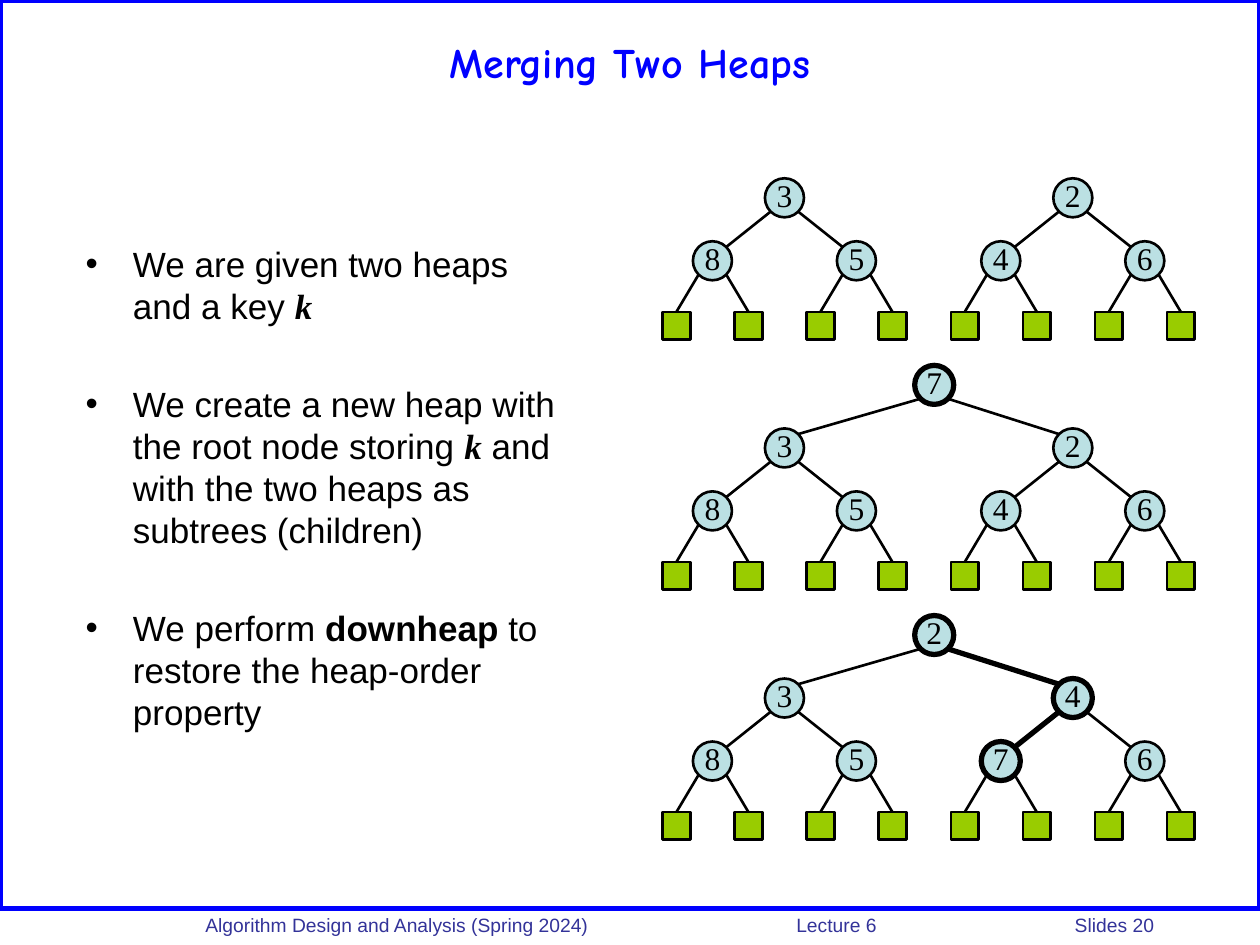
"""Build the slide on merging two heaps."""
from pptx import Presentation
from pptx.dml.color import RGBColor as Rgb
from pptx.enum.shapes import MSO_CONNECTOR as Con, MSO_SHAPE as Kind
from pptx.enum.text import MSO_ANCHOR as Anchor, MSO_AUTO_SIZE as Auto, PP_ALIGN as Align
from pptx.oxml.ns import qn
from pptx.util import Inches, Pt

BLUE = Rgb(0x00, 0x00, 0xFF)
NAVY = Rgb(0x33, 0x33, 0x99)
BLACK = Rgb(0x00, 0x00, 0x00)
TEAL = Rgb(0xBB, 0xE0, 0xE3)
GREEN = Rgb(0x99, 0xCC, 0x00)

SANS, SERIF, COMIC = "Arial", "Times New Roman", "Comic Neue"
WIDE, HIGH = Inches(10), Inches(7.5)
COL, ROW = WIDE / 35, HIGH / 15
NODE, LEAF, SIDE = Inches(0.31), Inches(0.22), Inches(0.11)
THIN, THICK = Pt(1.5), Pt(3)
COLS = [25.95, 21.79, 29.8, 19.79, 23.79, 27.8, 31.8]
RISE = [-1, 0, 0, 1, 1, 1, 1]
DROP = 2.03

LIST = [
    [("We are given two heaps and a key ", ""), ("k", "key")],
    [("We create a new heap with the root node storing ", ""), ("k", "key"),
     (" and with the two heaps as subtrees (children)", "")],
    [("We perform ", ""), ("downheap", "bold"),
     (" to restore the heap-order property", "")],
]
HEAPS = [
    (3.14, ["", "3", "2", "8", "5", "4", "6"], ()),
    (7.11, ["7", "3", "2", "8", "5", "4", "6"], (0,)),
    (11.08, ["2", "3", "4", "8", "5", "7", "6"], (0, 2, 5)),
]


class Deck:
    """Hold the style and the current slide."""

    def __init__(self):
        self.prs = Presentation()
        self.prs.slide_width, self.prs.slide_height = WIDE, HIGH
        self.slide = self.prs.slides.add_slide(self.prs.slide_layouts[1])
        self.shapes = self.slide.shapes

    def place(self, shape, left, top, wide, high):
        """Move a shape to shares of the slide's size."""
        shape.left, shape.top = int(left * WIDE), int(top * HIGH)
        shape.width, shape.height = int(wide * WIDE), int(high * HIGH)

    def say(self, para, text, size, face, color, bold=False, slant=False):
        """Add one run to a paragraph."""
        run = para.add_run()
        run.text = text
        font = run.font
        font.size, font.name, font.color.rgb = Pt(size), face, color
        font.bold, font.italic = bold, slant

    def title(self, text):
        """Fill the title placeholder."""
        shape = self.shapes.title
        self.place(shape, 0.05, 0, 0.9, 0.13)
        frame = shape.text_frame
        frame.vertical_anchor, frame.auto_size = Anchor.MIDDLE, Auto.NONE
        para = frame.paragraphs[0]
        para.alignment = Align.CENTER
        self.say(para, text, 24, COMIC, BLUE, True)

    def body(self, items):
        """Fill the body placeholder with a bulleted list."""
        shape = self.slide.placeholders[1]
        self.place(shape, 0.06, 0.25, 0.4, 0.6)
        shape.left = Inches(0.58)
        frame = shape.text_frame
        frame.auto_size = Auto.NONE
        for i, runs in enumerate(items):
            para = frame.add_paragraph() if i else frame.paragraphs[0]
            para.line_spacing = Pt(24)
            para.space_before = Pt(32 if i else 0)
            for text, mode in runs:
                face = SERIF if mode == "key" else SANS
                self.say(para, text, 20, face, BLACK, mode != "", mode == "key")

    def border(self):
        """Draw the frame around the slide's content."""
        shape = self.shapes.add_shape(Kind.RECTANGLE, 0, 0, WIDE, Inches(7.21))
        shape.shadow.inherit = False
        shape.fill.background()
        shape.line.color.rgb, shape.line.width = BLUE, THICK

    def footer(self, parts, stops):
        """Set the footer's parts at tab stops given in inches."""
        box = self.shapes.add_textbox(Inches(1.33), Inches(7.2), Inches(8.67), Inches(0.26))
        frame = box.text_frame
        frame.word_wrap, frame.margin_left = True, Inches(0.3)
        para = frame.paragraphs[0]
        prop = para._p.get_or_add_pPr()
        tabs = prop.makeelement(qn("a:tabLst"), {})
        prop.append(tabs)
        for stop in stops:
            tab = tabs.makeelement(qn("a:tab"), {"pos": str(Inches(stop)), "algn": "l"})
            tabs.append(tab)
        for i, part in enumerate(parts):
            self.say(para, "\t" + part if i else part, 11, SANS, NAVY)

    def mark(self, kind, x, y, size, fill, width=THIN):
        """Draw an outlined shape centred on a point."""
        shape = self.shapes.add_shape(
            kind, int(x - size / 2), int(y - size / 2), size, size)
        shape.shadow.inherit = False
        shape.fill.solid()
        shape.fill.fore_color.rgb = fill
        shape.line.color.rgb, shape.line.width = BLACK, width
        return shape

    def node(self, x, y, key, width):
        """Draw a round node with its key."""
        frame = self.mark(Kind.OVAL, x, y, NODE, TEAL, width).text_frame
        frame.margin_left = frame.margin_top = frame.margin_right = 0
        frame.margin_bottom = Inches(0.05)
        frame.word_wrap, frame.vertical_anchor = False, Anchor.MIDDLE
        para = frame.paragraphs[0]
        para.alignment = Align.CENTER
        self.say(para, key, 18, SERIF, BLACK)

    def edge(self, x, y, to_x, to_y, width=THIN):
        """Draw a straight edge between two points."""
        line = self.shapes.add_connector(
            Con.STRAIGHT, int(x), int(y), int(to_x), int(to_y))
        line.line.color.rgb, line.line.width = BLACK, width
        prop = line._element.spPr
        prop.append(prop.makeelement(qn("a:effectLst"), {}))
        return line

    def heap(self, row, keys, trail):
        """Draw a heap from its keys in level order, with a bold trail."""
        spots = [(c * COL, (row + r) * ROW) for c, r in zip(COLS, RISE)]
        for i, (x, y) in enumerate(spots):
            if not keys[i]:
                continue
            self.node(x, y, keys[i], THICK if i in trail else THIN)
            for turn, kid in ((-1, 2 * i + 1), (1, 2 * i + 2)):
                start = x + turn * SIDE, y + SIDE
                if kid < len(keys):
                    to_x, to_y = spots[kid]
                    bold = i in trail and kid in trail
                    self.edge(*start, to_x - turn * SIDE, to_y - SIDE,
                              THICK if bold else THIN)
                else:
                    to_x, to_y = x + turn * COL, (row + DROP) * ROW
                    leaf = self.mark(Kind.RECTANGLE, to_x, to_y, LEAF, GREEN)
                    self.edge(*start, to_x, to_y).end_connect(leaf, 0)


def main():
    """Build and save the slide."""
    deck = Deck()
    deck.border()
    deck.footer(["Algorithm Design and Analysis (Spring 2024)", "Lecture 6", "Slides 20"],
                [4.69, 6.9])
    deck.title("Merging Two Heaps")
    deck.body(LIST)
    for row, keys, trail in HEAPS:
        deck.heap(row, keys, trail)
    deck.prs.save("out.pptx")


if __name__ == "__main__":
    main()
